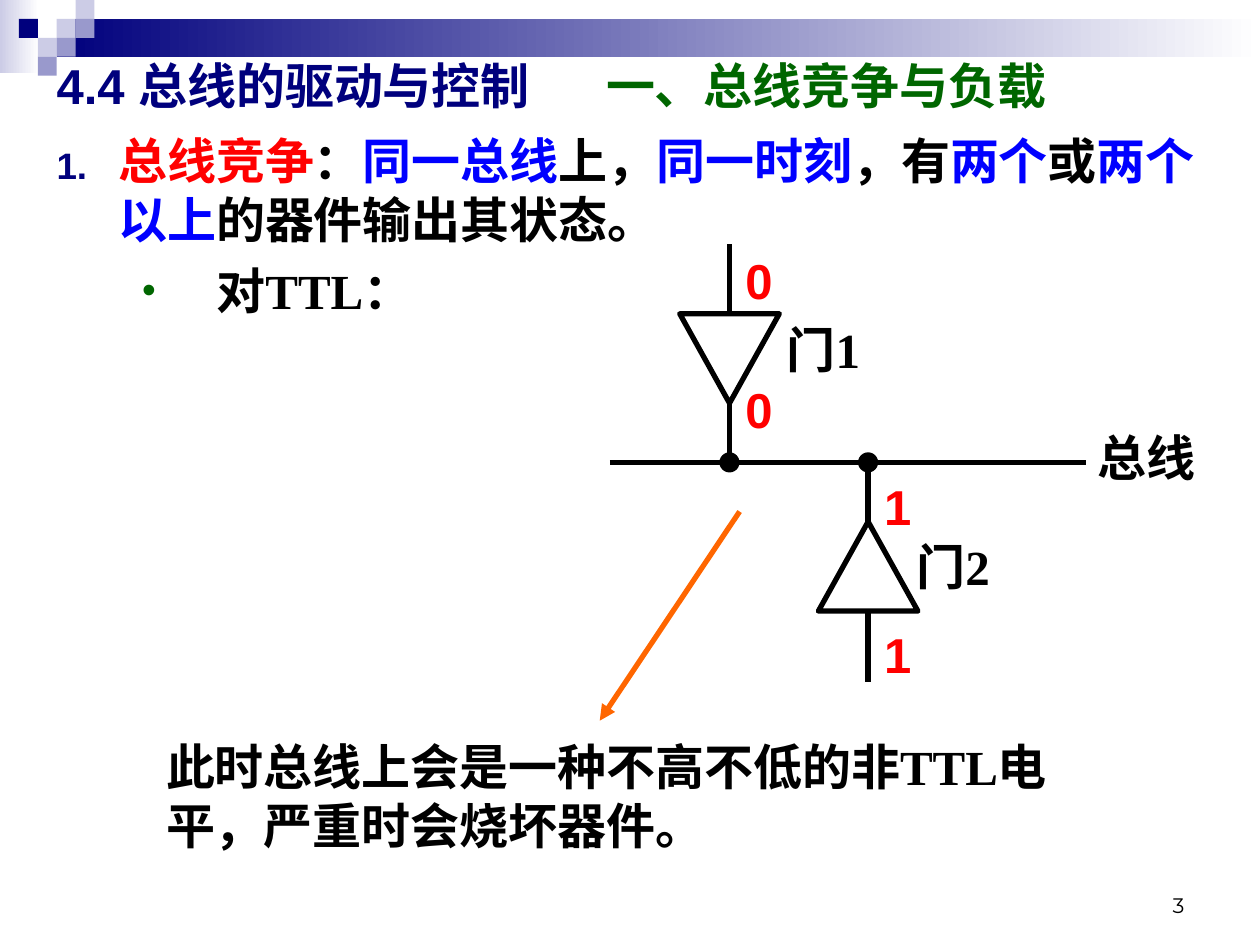
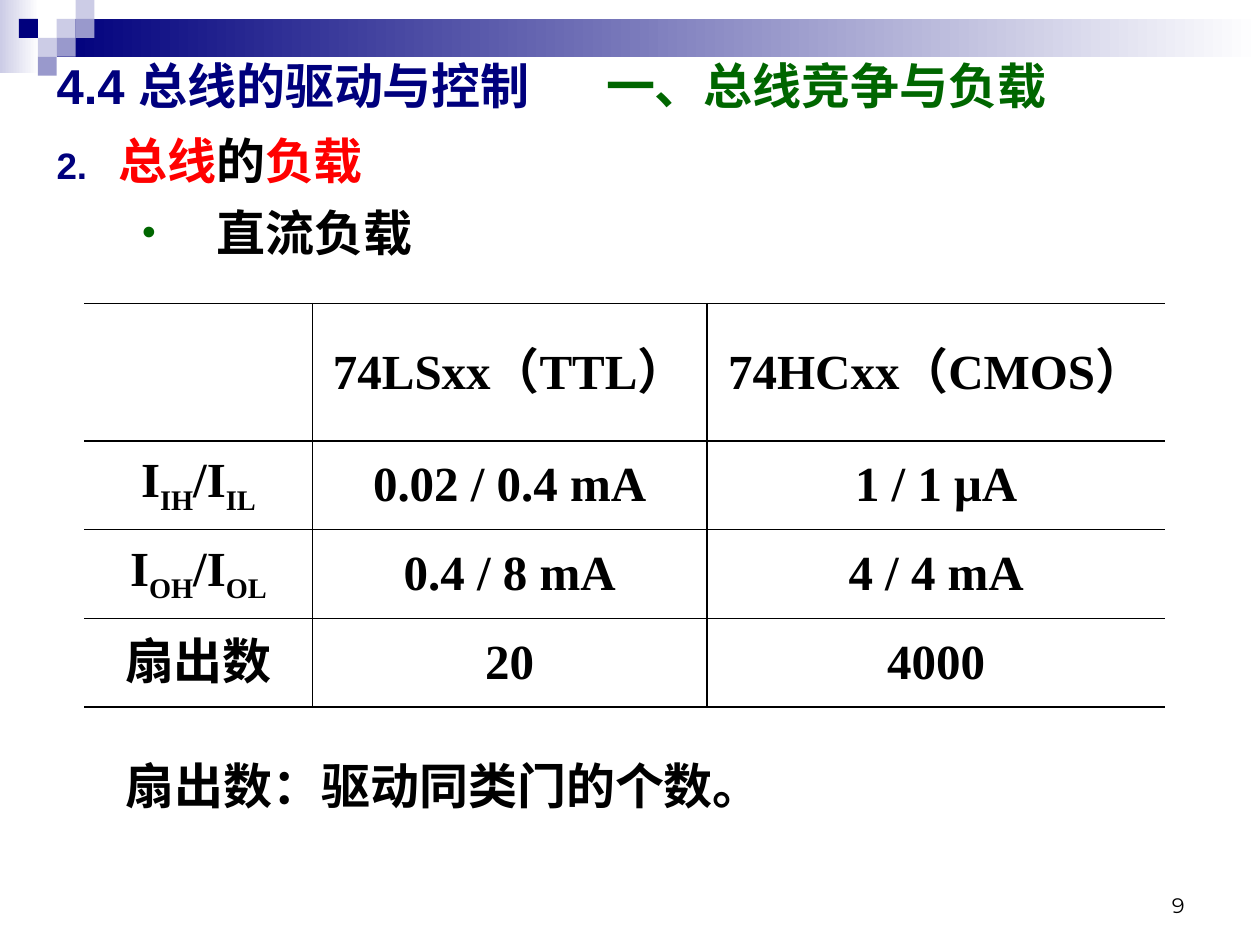
from lxml.etree import SubElement
from pptx import Presentation
from pptx.dml.color import RGBColor
from pptx.enum.shapes import MSO_CONNECTOR as CONNECTOR, MSO_SHAPE as SHAPE
from pptx.enum.text import MSO_ANCHOR as ANCHOR, PP_ALIGN as ALIGN
from pptx.oxml.ns import qn
from pptx.util import Inches, Pt

# Colours and fonts
NAVY = RGBColor(0x00, 0x00, 0x7D)
LILAC = RGBColor(0xCC, 0xCC, 0xE6)
VIOLET = RGBColor(0x99, 0x99, 0xCC)
GREEN = RGBColor(0x00, 0x66, 0x00)
RED = RGBColor(0xFF, 0x00, 0x00)
BLUE = RGBColor(0x00, 0x00, 0xFF)
ORANGE = RGBColor(0xFF, 0x66, 0x00)
BLACK = RGBColor(0x00, 0x00, 0x00)
WHITE = RGBColor(0xFF, 0xFF, 0xFF)
SANS, SERIF, NUMBER_FONT = "Arial", "Times New Roman", "Montserrat"

# Shared content: the title and the corner tiles (column, row, colour)
TITLE = [("4.4 总线的驱动与控制\t", NAVY), ("一、总线竞争与负载", GREEN)]
TILE = 0.15
TILES = [(3, 1, LILAC), (4, 0, LILAC), (4, 1, VIOLET), (2, 2, LILAC),
         (1, 1, NAVY), (3, 2, VIOLET), (2, 3, VIOLET)]

# Slide content
CONTENTION = [("总线竞争", RED), ("：", BLACK), ("同一总线", BLUE), ("上，", BLACK),
              ("同一时刻", BLUE), ("，有", BLACK), ("两个", BLUE), ("或", BLACK),
              ("两个以上", BLUE), ("的器件输出其状态。", BLACK)]
LOAD = [("总线", RED), ("的", BLACK), ("负载", RED)]

BUS_Y = 3.67
GATES = [  # centre x, shape, top, bottom, outer wire end, label and its place
    dict(x=5.79, shape=SHAPE.FLOWCHART_MERGE, top=2.49, bottom=3.2, wire=1.94,
         label="门1", label_at=(6.1, 2.49), level="0", level_tops=(1.94, 2.96)),
    dict(x=6.89, shape=SHAPE.FLOWCHART_EXTRACT, top=4.14, bottom=4.85, wire=5.41,
         label="门2", label_at=(7.13, 4.21), level="1", level_tops=(3.73, 4.91)),
]
GATE_WIDTH, DOT = 0.79, 0.16

# "_" marks the start of a subscript and "^" the return to the base line
LOAD_TABLE = [
    ["", "74LSxx（TTL）", "74HCxx（CMOS）"],
    ["I_IH^/I_IL", "0.02 / 0.4 mA", "1 / 1 μA"],
    ["I_OH^/I_OL", "0.4 / 8 mA", "4 / 4 mA"],
    ["扇出数", "20", "4000"],
]
COLUMN_WIDTHS = [1.81, 3.13, 3.64]
ROW_HEIGHTS = [1.09, 0.7, 0.71, 0.7]
THICK, THIN = 1.08, 0.45


def place(left, top, width, height):
    return [Inches(value) for value in (left, top, width, height)]


def write(para, spans, font=SANS, size=28, bold=True):
    """Add coloured runs to a paragraph."""
    for text, color in spans:
        span = para.add_run()
        span.text = text
        span.font.size, span.font.bold, span.font.name = Pt(size), bold, font
        span.font.color.rgb = color
        SubElement(span._r.get_or_add_rPr(), qn("a:ea"), typeface=SANS)


def add_text(page, at, text, color=BLACK, font=SANS, align=ALIGN.LEFT, **style):
    box = page.shapes.add_textbox(*place(*at))
    box.text_frame.word_wrap = True
    para = box.text_frame.paragraphs[0]
    para.alignment = align
    write(para, [(text, color)], font, **style)
    return box


def add_block(page, shape, at, fill=None, line=None):
    """Add a preset shape; a pair of colours gives a left-to-right gradient."""
    block = page.shapes.add_shape(shape, *place(*at))
    block.shadow.inherit = False
    if fill is None:
        block.fill.background()
    elif isinstance(fill, list):
        block.fill.gradient()
        block.fill.gradient_angle = 0
        for stop, color in zip(block.fill.gradient_stops, fill):
            stop.color.rgb = color
    else:
        block.fill.solid()
        block.fill.fore_color.rgb = fill
    if line is None:
        block.line.fill.background()
    else:
        block.line.color.rgb, block.line.width = line, Pt(3)
    return block


def add_wire(page, start, end, color=BLACK, arrow=False):
    points = [Inches(value) for value in (*start, *end)]
    wire = page.shapes.add_connector(CONNECTOR.STRAIGHT, *points)
    wire.line.color.rgb, wire.line.width = color, Pt(3)
    if arrow:
        SubElement(wire.line._get_or_add_ln(), qn("a:tailEnd"), type="triangle")
    SubElement(wire.element.spPr, qn("a:effectLst"))


def add_bullet(para, margin, indent, color, percent, kind, **mark):
    props = para._p.get_or_add_pPr()
    props.set("marL", str(Inches(margin)))
    props.set("indent", str(Inches(indent)))
    bullet_color = SubElement(props, qn("a:buClr"))
    SubElement(bullet_color, qn("a:srgbClr"), val=str(color))
    SubElement(props, qn("a:buSzPct"), val=str(percent * 1000))
    SubElement(props, qn("a:buFont"), typeface=SANS)
    SubElement(props, qn(kind), **mark)


def decorate(layout, page):
    """Draw the top band and tiles once and hand them to the layout."""
    for holder in list(layout.placeholders)[1:]:
        holder.element.getparent().remove(holder.element)
    blocks = [((0, 0, 0.31, 0.58), [LILAC, WHITE]),
              ((0.45, TILE, 9.55, 0.3), [NAVY, WHITE])]
    blocks += [((column * TILE, row * TILE, TILE, TILE), color)
               for column, row, color in TILES]
    for at, fill in blocks:
        layout.shapes.element.append(add_block(page, SHAPE.RECTANGLE, at, fill).element)


def add_page(deck, number, heading, point):
    """Add a slide with its title, numbered heading, bullet and page number."""
    layout = deck.slide_layouts[5]
    page = deck.slides.add_slide(layout)
    if len(deck.slides) == 1:
        decorate(layout, page)

    title = page.shapes.title
    title.left, title.top, title.width, title.height = place(0.35, 0.36, 9.13, 0.63)
    title.text_frame.vertical_anchor = ANCHOR.MIDDLE
    para = title.text_frame.paragraphs[0]
    para.alignment = ALIGN.LEFT
    tabs = SubElement(para._p.get_or_add_pPr(), qn("a:tabLst"))
    SubElement(tabs, qn("a:tab"), pos=str(Inches(4.36)), algn="l")
    write(para, TITLE)

    body = page.shapes.add_textbox(*place(0.35, 0.99, 9.45, 1.5)).text_frame
    body.word_wrap = True
    para = body.paragraphs[0]
    add_bullet(para, 0.49, -0.49, NAVY, 75, "a:buAutoNum",
               type="arabicPeriod", startAt=str(heading[0]))
    write(para, heading[1])
    para = body.add_paragraph()
    add_bullet(para, 1.27, -0.59, GREEN, 80, "a:buChar", char="•")
    para.space_before = Pt(7)
    write(para, [(point, BLACK)], SERIF)

    footer = add_text(page, (7.17, 6.83, 2.33, 0.5), str(number), font=NUMBER_FONT,
                      align=ALIGN.RIGHT, size=12, bold=False)
    footer.text_frame.vertical_anchor = ANCHOR.BOTTOM
    return page


def add_gate(page, gate):
    x, top, bottom = gate["x"], gate["top"], gate["bottom"]
    above = gate["wire"] < BUS_Y
    add_block(page, gate["shape"],
              (x - GATE_WIDTH / 2, top, GATE_WIDTH, bottom - top), line=BLACK)
    add_wire(page, (x, gate["wire"]), (x, top if above else bottom))
    add_wire(page, (x, bottom if above else top), (x, BUS_Y))
    add_block(page, SHAPE.OVAL, (x - DOT / 2, BUS_Y - DOT / 2, DOT, DOT), BLACK)
    for level_top in gate["level_tops"]:
        add_text(page, (x - 0.08, level_top, 0.63, 0.57), gate["level"], RED,
                 align=ALIGN.CENTER)
    add_text(page, (*gate["label_at"], 0.87, 1.04), gate["label"], font=SERIF,
             align=ALIGN.CENTER)


def set_borders(cell, borders):
    """Set left, right, top and bottom widths in points; 0 means no line."""
    props = cell._tc.get_or_add_tcPr()
    for index, (side, width) in enumerate(zip(("lnL", "lnR", "lnT", "lnB"), borders)):
        line = props.makeelement(qn("a:" + side), {"w": str(Pt(width))})
        props.insert(index, line)
        if width:
            SubElement(SubElement(line, qn("a:solidFill")), qn("a:srgbClr"), val=str(BLACK))
        else:
            SubElement(line, qn("a:noFill"))


def add_load_table(page):
    rows, columns = len(ROW_HEIGHTS), len(COLUMN_WIDTHS)
    frame = page.shapes.add_table(
        rows, columns, *place(0.67, 2.41, sum(COLUMN_WIDTHS), sum(ROW_HEIGHTS)))
    table = frame.table
    table.first_row = table.horz_banding = False
    for column, width in zip(table.columns, COLUMN_WIDTHS):
        column.width = Inches(width)
    row_lines = [THICK, THICK] + [THIN] * (rows - 2) + [THICK]
    column_lines = [0] + [THICK] * (columns - 1) + [0]
    for r, texts in enumerate(LOAD_TABLE):
        table.rows[r].height = Inches(ROW_HEIGHTS[r])
        for c, text in enumerate(texts):
            cell = table.cell(r, c)
            cell.fill.background()
            cell.vertical_anchor = ANCHOR.MIDDLE
            para = cell.text_frame.paragraphs[0]
            para.alignment = ALIGN.CENTER
            if text:
                parts = text.replace("^", "_").split("_")
                write(para, [(part, BLACK) for part in parts], SERIF)
                for span in para.runs[1::2]:
                    span._r.get_or_add_rPr().set("baseline", "-25000")
            set_borders(cell, (*column_lines[c:c + 2], *row_lines[r:r + 2]))


def main():
    deck = Presentation()
    deck.slide_width, deck.slide_height = Inches(10), Inches(7.5)

    # Bus contention
    page = add_page(deck, 3, (1, CONTENTION), "对TTL：")
    add_wire(page, (4.84, BUS_Y), (8.62, BUS_Y))
    add_text(page, (8.47, 3.34, 1.26, 0.57), "总线", align=ALIGN.CENTER)
    for gate in GATES:
        add_gate(page, gate)
    add_text(page, (1.22, 5.8, 7.56, 1.04),
             "此时总线上会是一种不高不低的非TTL电平，严重时会烧坏器件。", font=SERIF)
    add_wire(page, (5.87, 4.06), (4.76, 5.72), ORANGE, arrow=True)

    # Bus load
    page = add_page(deck, 9, (2, LOAD), "直流负载")
    add_load_table(page)
    add_text(page, (0.9, 5.95, 6.14, 0.57), "扇出数：驱动同类门的个数。")

    deck.save("out.pptx")


if __name__ == "__main__":
    main()
